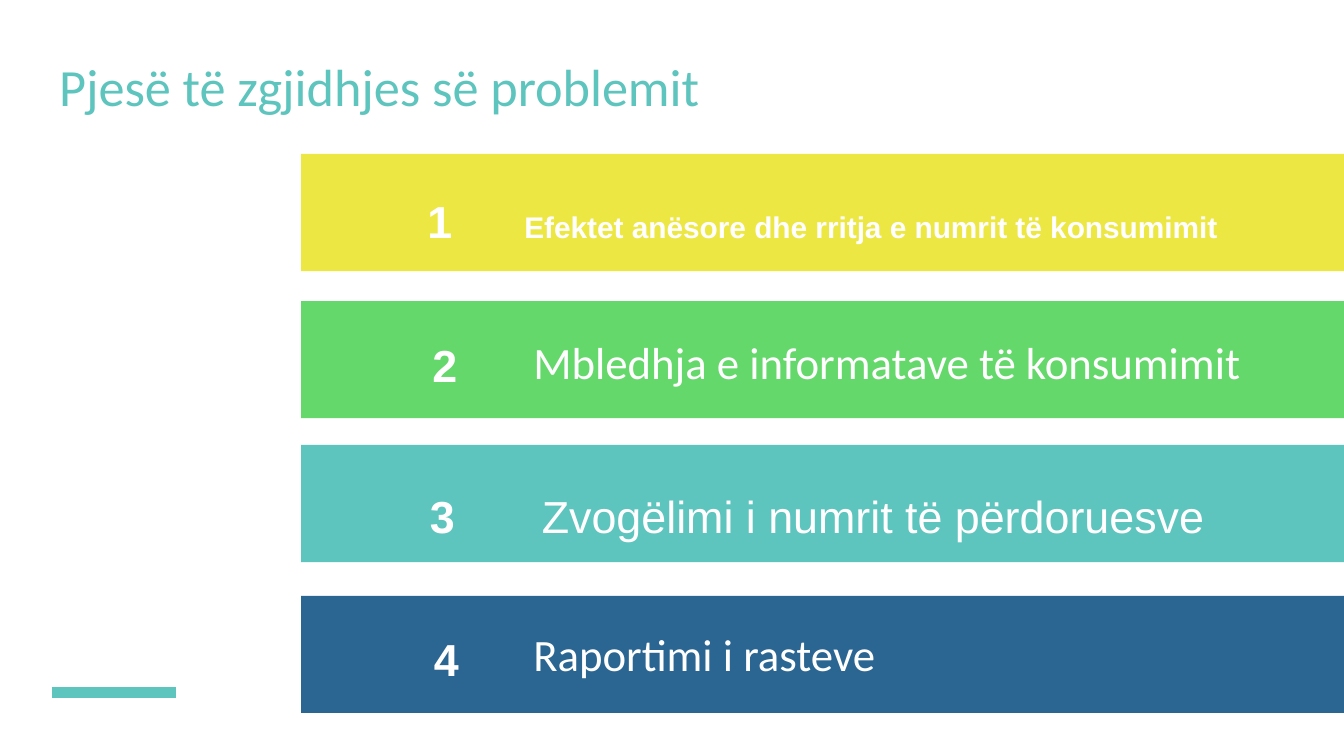
from lxml import etree
from pptx import Presentation
from pptx.dml.color import RGBColor
from pptx.enum.shapes import MSO_CONNECTOR, MSO_SHAPE
from pptx.enum.text import MSO_ANCHOR, MSO_AUTO_SIZE, PP_ALIGN
from pptx.oxml.ns import qn
from pptx.util import Pt

RECT = MSO_SHAPE.RECTANGLE
STRAIGHT = MSO_CONNECTOR.STRAIGHT
TOP, MIDDLE = MSO_ANCHOR.TOP, MSO_ANCHOR.MIDDLE
LEFT = PP_ALIGN.LEFT
NO_AUTOFIT = MSO_AUTO_SIZE.NONE

TEAL, WHITE = "5EC4BE", "FFFFFF"
INSET = 7.2


def color(value):
    return RGBColor.from_string(value)


def add_run(p, text, font="Arial", size=24, fill=WHITE, bold=False):
    r = p.add_run()
    r.text = text
    r.font.name = font
    r.font.size = Pt(size)
    r.font.bold = bold
    r.font.color.rgb = color(fill)


def add_tab_stop(p, pos):
    tabs = etree.SubElement(p._p.get_or_add_pPr(), qn("a:tabLst"))
    etree.SubElement(tabs, qn("a:tab"), pos=str(Pt(pos)), algn="l")


class Deck:
    """Holds the presentation, its style and the current slide."""

    def __init__(self, width, height):
        self.prs = Presentation()
        self.prs.slide_width, self.prs.slide_height = Pt(width), Pt(height)
        self.s = self.prs.slides.add_slide(self.prs.slide_layouts[5])

    def frame(self, sp, anchor=TOP, top=INSET):
        """Format the text frame of a shape and return its first paragraph."""
        tf = sp.text_frame
        tf.word_wrap = True
        tf.auto_size = NO_AUTOFIT
        tf.vertical_anchor = anchor
        tf.margin_left = tf.margin_right = tf.margin_bottom = Pt(INSET)
        tf.margin_top = Pt(top)
        p = tf.paragraphs[0]
        p.alignment = LEFT
        return p

    def title(self, text, x, y, w, h):
        sp = self.s.shapes.title
        sp.left, sp.top, sp.width, sp.height = Pt(x), Pt(y), Pt(w), Pt(h)
        add_run(self.frame(sp), text, font="Calibri", size=28, fill=TEAL)

    def bar(self, x, y, w, h, fill):
        sp = self.s.shapes.add_shape(RECT, Pt(x), Pt(y), Pt(w), Pt(h))
        sp.shadow.inherit = False
        sp.fill.solid()
        sp.fill.fore_color.rgb = color(fill)
        sp.line.fill.background()

    def text(self, x, y, w, h, anchor=TOP, top=INSET):
        sp = self.s.shapes.add_textbox(Pt(x), Pt(y), Pt(w), Pt(h))
        return self.frame(sp, anchor, top)

    def line(self, x1, y1, x2, y2, fill, width):
        ln = self.s.shapes.add_connector(STRAIGHT, Pt(x1), Pt(y1), Pt(x2), Pt(y2))
        ln.line.color.rgb = color(fill)
        ln.line.width = Pt(width)
        etree.SubElement(ln._element.spPr, qn("a:effectLst"))


def main():
    deck = Deck(720, 405)
    deck.line(27.7, 371.2, 94.3, 371.2, TEAL, 6)
    deck.title("Pjesë të zgjidhjes së problemit", 24.5, 21.6, 671, 45.4)

    bars = [(82.5, "EDE744"), (161.3, "65D86B"), (238.4, TEAL), (319.2, "2A6691")]
    for y, fill in bars:
        deck.bar(161.3, y, 558.7, 62.8, fill)

    # number, left, top, width, tab stop, label, label format
    tabbed = [
        ("1", 221.8, 94.3, 466.6, 52,
         "Efektet anësore dhe rritja e numrit të konsumimit",
         {"size": 16, "bold": True}),
        ("3", 223.2, 252, 460.8, 60, "Zvogëlimi i numrit të përdoruesve", {}),
    ]
    for number, x, y, w, tab, label, style in tabbed:
        p = deck.text(x, y, w, 43.2, top=9.6)
        add_tab_stop(p, tab)
        add_run(p, number + "\t", bold=True)
        add_run(p, label, **style)

    # number, left, top, label top, label
    split = [
        ("2", 224.6, 171.4, 172.1, "Mbledhja e informatave të konsumimit"),
        ("4", 225.4, 329, 328.3, "Raportimi i rasteve"),
    ]
    for number, x, y, label_y, label in split:
        add_run(deck.text(x, y, 64.8, 43.2, top=9.6), number, bold=True)
        add_run(deck.text(278.6, label_y, 416.9, 43.2, MIDDLE), label, font="Calibri")

    deck.prs.save("out.pptx")


if __name__ == "__main__":
    main()
